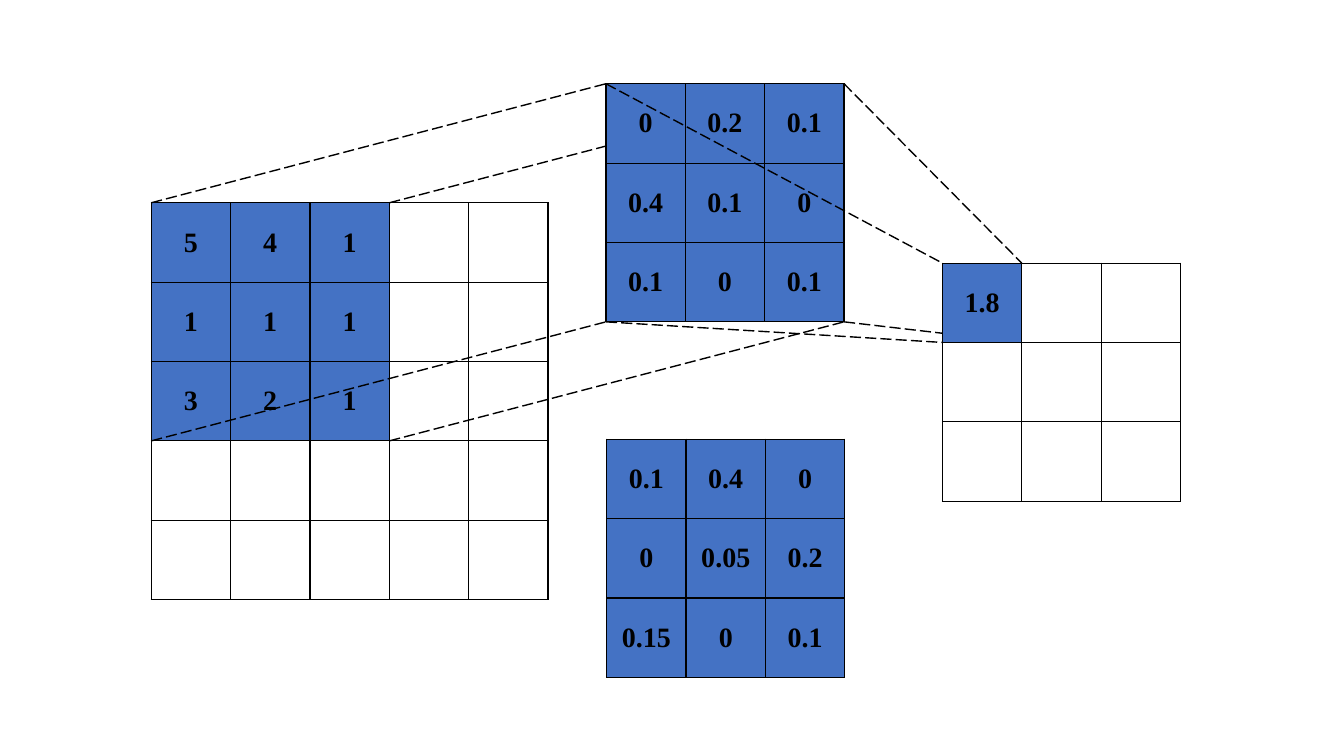
from dataclasses import dataclass

from lxml.etree import SubElement
from pptx import Presentation
from pptx.dml.color import RGBColor as Rgb
from pptx.enum.dml import MSO_LINE as Dash
from pptx.enum.shapes import MSO_CONNECTOR as Conn
from pptx.enum.text import MSO_ANCHOR as Anchor, PP_ALIGN as Align
from pptx.oxml.ns import qn
from pptx.util import Cm, Pt


@dataclass(frozen=True)
class Theme:
    ink: str = "000000"
    fill: str = "4472C4"
    font: str = "Times New Roman"
    size: int = 20
    line: int = 1
    cell: float = 2


@dataclass(frozen=True)
class Grid:
    """A square grid; its values fill rows from the top left corner."""
    left: float
    top: float
    count: int
    rows: tuple

    def corner(self, col, row):
        return (Cm(self.left + col * THEME.cell),
                Cm(self.top + row * THEME.cell))


THEME = Theme()
INPUT = Grid(3.81, 5.11, 5, (("5", "4", "1"), ("1", "1", "1"), ("3", "2", "1")))
KERNEL = Grid(15.27, 2.11, 3,
              (("0", "0.2", "0.1"), ("0.4", "0.1", "0"), ("0.1", "0", "0.1")))
OUTPUT = Grid(23.75, 6.63, 3, (("1.8",),))
SECOND = Grid(15.29, 11.07, 3,
              (("0.1", "0.4", "0"), ("0", "0.05", "0.2"), ("0.15", "0", "0.1")))


def put_text(frame, text, size=THEME.size, color=THEME.ink, bold=True,
             align=Align.CENTER):
    para = frame.paragraphs[0]
    para.alignment = align
    run = para.add_run()
    run.text = text
    font = run.font
    font.name, font.size, font.bold = THEME.font, Pt(size), bold
    font.color.rgb = Rgb.from_string(color)


def add_border(cell):
    props = cell._tc.get_or_add_tcPr()
    for side in ("a:lnL", "a:lnR", "a:lnT", "a:lnB"):
        edge = SubElement(props, qn(side), w=str(Pt(THEME.line)))
        paint = SubElement(edge, qn("a:solidFill"))
        SubElement(paint, qn("a:srgbClr"), val=THEME.ink)


def add_grid(slide, grid):
    count, side = grid.count, Cm(grid.count * THEME.cell)
    table = slide.shapes.add_table(
        count, count, *grid.corner(0, 0), side, side).table
    table.first_row = table.horz_banding = False
    for band in (*table.columns, *table.rows):
        if band in table.columns:
            band.width = Cm(THEME.cell)
        else:
            band.height = Cm(THEME.cell)
    for cell in table.iter_cells():
        add_border(cell)
        cell.fill.background()
        cell.vertical_anchor = Anchor.MIDDLE
    for row, values in enumerate(grid.rows):
        for col, value in enumerate(values):
            cell = table.cell(row, col)
            cell.fill.solid()
            cell.fill.fore_color.rgb = Rgb.from_string(THEME.fill)
            put_text(cell.text_frame, value)


def add_ray(slide, start, end):
    """Draw a dashed line between two grid corners."""
    ray = slide.shapes.add_connector(Conn.STRAIGHT, *start, *end)
    ray.line.color.rgb = Rgb.from_string(THEME.ink)
    ray.line.width = Pt(THEME.line)
    ray.line.dash_style = Dash.LONG_DASH
    SubElement(ray._element.spPr, qn("a:effectLst"))


def main():
    deck = Presentation()
    deck.slide_width, deck.slide_height = Cm(33.87), Cm(19.05)
    slide = deck.slides.add_slide(deck.slide_layouts[6])

    # Rays that pass behind the grids
    add_ray(slide, INPUT.corner(3, 0), KERNEL.corner(3, 0))
    add_ray(slide, KERNEL.corner(3, 3), OUTPUT.corner(1, 1))

    for grid in (INPUT, KERNEL, OUTPUT, SECOND):
        add_grid(slide, grid)

    # Rays in front: input window to kernel, kernel to output cell
    for col, row in ((0, 0), (3, 3), (0, 3)):
        add_ray(slide, INPUT.corner(col, row), KERNEL.corner(col, row))
    for col, row in ((3, 0), (0, 3), (0, 0)):
        add_ray(slide, KERNEL.corner(col, row),
                OUTPUT.corner(col // 3, row // 3))

    deck.save("out.pptx")


if __name__ == "__main__":
    main()
